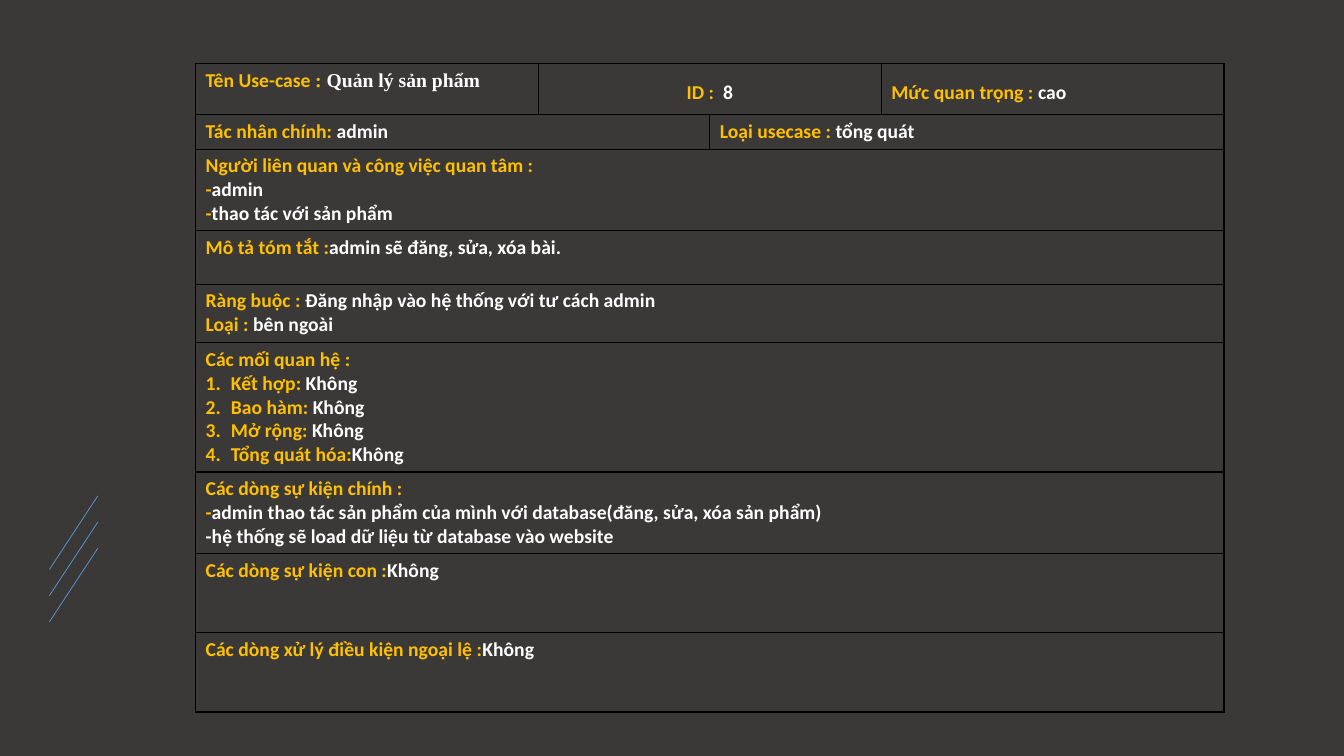
from dataclasses import dataclass

from lxml import etree
from pptx import Presentation
from pptx import util as u
from pptx.dml.color import RGBColor
from pptx.enum import shapes, text
from pptx.oxml.ns import qn


@dataclass(frozen=True)
class Theme:
    background: str = "3B3838"
    accent: str = "5B9BD5"
    border: str = "000000"
    label: str = "FFC000"
    value: str = "FFFFFF"
    body_font: str = "Calibri"
    name_font: str = "Times New Roman"
    text_size: int = 14
    accent_width: float = 0.5
    border_width: int = 1


THEME = Theme()
COLUMNS = [3.4, 1.7, 1.7, 3.4]
INDENT = 0.25


def label(words, font=THEME.body_font):
    return words, THEME.label, font


def value(words, font=THEME.body_font):
    return words, THEME.value, font


def para(*runs, numbered=False, **formats):
    return runs, numbered, formats


def field(name, content, **options):
    return para(label(name), value(content), **options)


RELATIONS = [("Kết hợp: ", "Không"), ("Bao hàm: ", "Không"),
             ("Mở rộng: ", "Không"), ("Tổng quát hóa:", "Không")]
CENTER = text.PP_ALIGN.CENTER

# Each row: height, then cells as (column span, paragraphs)
ROWS = [
    (0.51, [
        (1, [para(label("Tên Use-case "), label(": ", THEME.name_font),
                  value("Quản lý sản phẩm", THEME.name_font))]),
        (2, [field("ID :  ", "8", alignment=CENTER, line_spacing=1.5)]),
        (1, [field("Mức quan trọng : ", "cao", line_spacing=1.5)])]),
    (0.34, [
        (2, [field("Tác nhân chính: ", "admin")]),
        (2, [field("Loại usecase : ", "tổng quát")])]),
    (0.81, [
        (4, [para(label("Người liên quan và công việc quan tâm :")),
             field("-", "admin"),
             field("-", "thao tác với sản phẩm")])]),
    (0.53, [
        (4, [field("Mô tả tóm tắt :", "admin sẽ đăng, sửa, xóa bài.")])]),
    (0.58, [
        (4, [field("Ràng buộc : ", "Đăng nhập vào hệ thống với tư cách admin"),
             field("Loại : ", "bên ngoài")])]),
    (1.28, [
        (4, [para(label("Các mối quan hệ :")),
             *[field(*relation, numbered=True) for relation in RELATIONS]])]),
    (0.81, [
        (4, [para(label("Các dòng sự kiện chính :")),
             field("-", "admin thao tác sản phẩm của mình với database"
                        "(đăng, sửa, xóa sản phẩm)"),
             para(value("-hệ thống sẽ load dữ liệu từ database vào website"))])]),
    (0.78, [(4, [field("Các dòng sự kiện con :", "Không")])]),
    (0.79, [(4, [field("Các dòng xử lý điều kiện ngoại lệ :", "Không")])]),
]


def rgb(color):
    return RGBColor.from_string(color)


def set_format(target, formats):
    for name, setting in formats.items():
        setattr(target, name, setting)


def number_paragraph(p):
    props = p._p.get_or_add_pPr()
    props.set("marL", str(u.Inches(INDENT)))
    props.set("indent", str(u.Inches(-INDENT)))
    etree.SubElement(props, qn("a:buFont"), typeface="+mj-lt")
    etree.SubElement(props, qn("a:buAutoNum"), type="arabicPeriod")


def write_paragraph(p, runs, numbered, formats):
    if numbered:
        number_paragraph(p)
    set_format(p, formats)
    for words, color, font in runs:
        r = p.add_run()
        r.text = words
        set_format(r.font, {"size": u.Pt(THEME.text_size), "bold": True,
                            "name": font})
        r.font.color.rgb = rgb(color)


def style_cell(cell):
    props = cell._tc.get_or_add_tcPr()
    for side in ("lnL", "lnR", "lnT", "lnB"):
        ln = etree.SubElement(props, qn(f"a:{side}"),
                              w=str(u.Pt(THEME.border_width)))
        fill = etree.SubElement(ln, qn("a:solidFill"))
        etree.SubElement(fill, qn("a:srgbClr"), val=THEME.border)
    cell.fill.background()


def add_use_case_table(s, left, top):
    heights = [height for height, _ in ROWS]
    frame = s.shapes.add_table(len(ROWS), len(COLUMNS), u.Inches(left),
                               u.Inches(top), u.Inches(sum(COLUMNS)),
                               u.Inches(sum(heights)))
    table = frame.table
    set_format(table, {"first_row": False, "horz_banding": False})
    for column, width in zip(table.columns, COLUMNS):
        column.width = u.Inches(width)
    for row, height in zip(table.rows, heights):
        row.height = u.Inches(height)
    for cell in table.iter_cells():
        style_cell(cell)

    for row, (_, cells) in enumerate(ROWS):
        col = 0
        for span, paragraphs in cells:
            cell = table.cell(row, col)
            if span > 1:
                cell.merge(table.cell(row, col + span - 1))
            tf = cell.text_frame
            for i, content in enumerate(paragraphs):
                p = tf.add_paragraph() if i else tf.paragraphs[0]
                write_paragraph(p, *content)
            col += span


def add_accent_line(s, x1, y1, x2, y2):
    line = s.shapes.add_connector(shapes.MSO_CONNECTOR.STRAIGHT, u.Inches(x1),
                                  u.Inches(y1), u.Inches(x2), u.Inches(y2))
    line.line.color.rgb = rgb(THEME.accent)
    line.line.width = u.Pt(THEME.accent_width)
    etree.SubElement(line._element.spPr, qn("a:effectLst"))


def main():
    prs = Presentation()
    set_format(prs, {"slide_width": u.Inches(13.33),
                     "slide_height": u.Inches(7.5)})
    s = prs.slides.add_slide(prs.slide_layouts[6])
    s.background.fill.solid()
    s.background.fill.fore_color.rgb = rgb(THEME.background)

    # Diagonal accent lines at the lower left
    for i in range(3):
        bottom = 5.65 + 0.26 * i
        add_accent_line(s, 0.49, bottom, 0.97, bottom - 0.73)

    # Use-case description
    add_use_case_table(s, 1.94, 0.63)

    prs.save("out.pptx")


if __name__ == "__main__":
    main()
